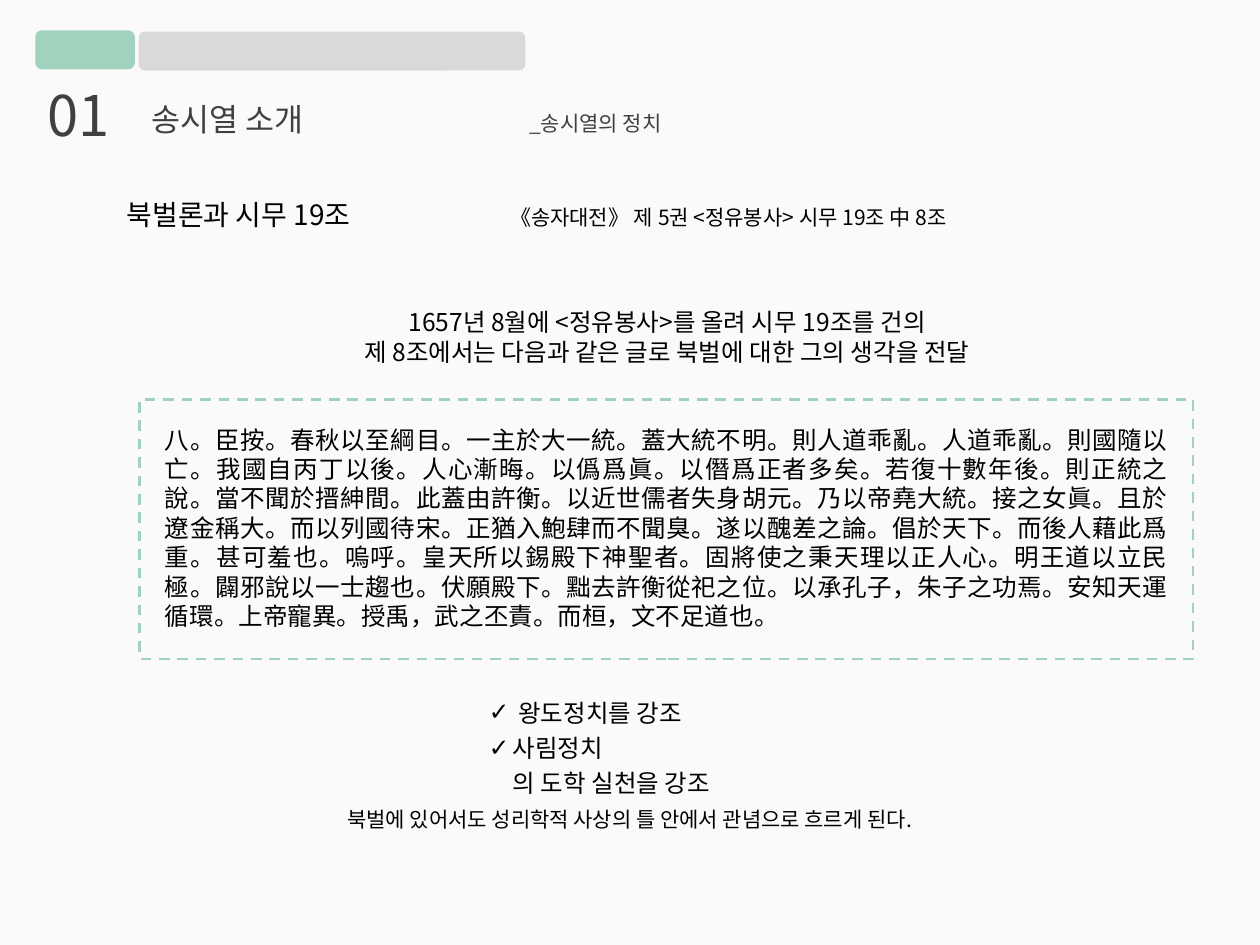
from pptx import Presentation
from pptx.dml.color import RGBColor
from pptx.enum.dml import MSO_LINE
from pptx.enum.shapes import MSO_SHAPE
from pptx.enum.text import MSO_ANCHOR, MSO_AUTO_SIZE, PP_ALIGN
from pptx.oxml.ns import qn
from pptx.util import Inches, Pt
from lxml import etree

FONT = "Noto Sans CJK KR"
BACKGROUND = RGBColor(0xFA, 0xFA, 0xFA)
MINT = RGBColor(0xA1, 0xD2, 0xBE)
LIGHT_GRAY = RGBColor(0xD9, 0xD9, 0xD9)
DARK_GRAY = RGBColor(0x40, 0x40, 0x40)
BLACK = RGBColor(0, 0, 0)
NO_BREAK_SPACE = chr(160)

# Each paragraph is a list of (text, size) runs.
SECTION_NUMBER = [[("01", 32)]]
SECTION_TITLE = [[("송시열 소개\t", 18), ("_송시열의 정치", 12)]]
TOPIC = [[("북벌론과 시무 19조", 16), ("\t", 18),
          ("《송자대전》 제 5권 <정유봉사> 시무 19조 中 8조", 12)]]
INTRODUCTION = [
    [("1657년 8월에 <정유봉사>를 올려 시무 19조를 건의", 14)],
    [("제 8조에서는 다음과 같은 글로 북벌에 대한 그의 생각을 전달", 14)],
]
QUOTATION = [[(
    "八。臣按。春秋以至綱目。一主於大一統。蓋大統不明。則人道乖亂。人道乖亂。則國隨以亡。"
    "我國自丙丁以後。人心漸晦。以僞爲眞。以僭爲正者多矣。若復十數年後。則正統之說。"
    "當不聞於搢紳間。此蓋由許衡。以近世儒者失身胡元。乃以帝堯大統。接之女眞。且於遼金稱大。"
    "而以列國待宋。正猶入鮑肆而不聞臭。遂以醜差之論。倡於天下。而後人藉此爲重。甚可羞也。"
    "嗚呼。皇天所以錫殿下神聖者。固將使之秉天理以正人心。明王道以立民極。闢邪說以一士趨也。"
    "伏願殿下。黜去許衡從祀之位。以承孔子，朱子之功焉。安知天運循環。上帝寵異。授禹，武之丕責。"
    "而桓，文不足道也。", 14)]]
EMPHASES = [
    [(" 왕도정치를 강조", 14)],
    [("사림정치의 도학 실천을 강조".replace(" ", NO_BREAK_SPACE), 14)],
]
CONCLUSION = [[("북벌에 있어서도 성리학적 사상의 틀 안에서 관념으로 흐르게 된다.", 12)]]

# Left, top, width, height in inches
HEADER_BARS = [((0.28, 0.24, 0.79, 0.31), MINT), ((1.1, 0.25, 3.07, 0.31), LIGHT_GRAY)]
TITLE_AREA = (1.1, 0.74, 6.1, 0.4)
EMPHASES_AREA = (3.78, 5.44, 2.44, 0.67)
QUOTATION_AREA = (1.11, 3.17, 8.36, 2.06)
TEXT_BOXES = [
    ((0.28, 0.59, 0.81, 0.64), SECTION_NUMBER, DARK_GRAY, PP_ALIGN.LEFT, None),
    ((0.91, 1.49, 8.5, 0.4), TOPIC, BLACK, PP_ALIGN.LEFT, 3.04),
    ((2.12, 2.39, 6.35, 0.57), INTRODUCTION, BLACK, PP_ALIGN.CENTER, None),
    ((2.52, 6.35, 4.96, 0.5), CONCLUSION, BLACK, PP_ALIGN.CENTER, None),
]


def place(shape, area):
    shape.left, shape.top, shape.width, shape.height = map(Inches, area)


def add_bullet(paragraph, indent=0.19):
    properties = paragraph._p.get_or_add_pPr()
    properties.set("marL", str(Inches(indent)))
    properties.set("indent", str(-Inches(indent)))
    etree.SubElement(properties, qn("a:buFont"), typeface="Arial")
    etree.SubElement(properties, qn("a:buChar"), char="✓")


def add_tab_stop(paragraph, position):
    stops = etree.SubElement(paragraph._p.get_or_add_pPr(), qn("a:tabLst"))
    etree.SubElement(stops, qn("a:tab"), pos=str(Inches(position)), algn="l")


def format_run(run, size, color):
    """Set the font for Latin and East Asian text, without pair kerning."""
    run.font.size = Pt(size)
    run.font.name = FONT
    run.font.color.rgb = color
    properties = run._r.get_or_add_rPr()
    properties.set("kern", "0")
    etree.SubElement(properties, qn("a:ea"), typeface=FONT)


def write(shape, paragraphs, color, alignment=PP_ALIGN.LEFT, tab_stop=None,
          bulleted=False, line_spacing=1.0):
    text_frame = shape.text_frame
    text_frame.word_wrap = True
    text_frame.vertical_anchor = MSO_ANCHOR.TOP
    text_frame.auto_size = MSO_AUTO_SIZE.NONE
    for index, runs in enumerate(paragraphs):
        paragraph = text_frame.add_paragraph() if index else text_frame.paragraphs[0]
        paragraph._p.get_or_add_pPr().set("hangingPunct", "0")
        if bulleted:
            add_bullet(paragraph)
        if tab_stop:
            add_tab_stop(paragraph, tab_stop)
        paragraph.alignment = alignment
        paragraph.line_spacing = line_spacing
        paragraph.space_before = Pt(0)
        for text, size in runs:
            run = paragraph.add_run()
            run.text = text
            format_run(run, size, color)


def add_header_bar(slide, area, color):
    bar = slide.shapes.add_shape(MSO_SHAPE.ROUNDED_RECTANGLE, *map(Inches, area))
    bar.shadow.inherit = False
    bar.fill.solid()
    bar.fill.fore_color.rgb = color
    bar.line.fill.background()


def add_quotation(slide):
    frame = slide.shapes.add_shape(MSO_SHAPE.RECTANGLE, *map(Inches, QUOTATION_AREA))
    frame.shadow.inherit = False
    frame.fill.background()
    frame.line.color.rgb = MINT
    frame.line.width = Pt(1.5)
    frame.line.dash_style = MSO_LINE.DASH
    for side in ("left", "top", "right", "bottom"):
        setattr(frame.text_frame, f"margin_{side}", Inches(0.2))
    write(frame, QUOTATION, BLACK, PP_ALIGN.JUSTIFY)


def main():
    presentation = Presentation()
    presentation.slide_width, presentation.slide_height = Inches(10), Inches(7.5)
    slide = presentation.slides.add_slide(presentation.slide_layouts[1])
    slide.background.fill.solid()
    slide.background.fill.fore_color.rgb = BACKGROUND

    for area, color in HEADER_BARS:
        add_header_bar(slide, area, color)

    title, body = slide.placeholders
    place(title, TITLE_AREA)
    write(title, SECTION_TITLE, DARK_GRAY, tab_stop=3)
    place(body, EMPHASES_AREA)
    write(body, EMPHASES, BLACK, bulleted=True, line_spacing=1.2)

    for area, paragraphs, color, alignment, tab_stop in TEXT_BOXES:
        box = slide.shapes.add_textbox(*map(Inches, area))
        write(box, paragraphs, color, alignment, tab_stop)
    add_quotation(slide)

    presentation.save("out.pptx")


if __name__ == "__main__":
    main()
